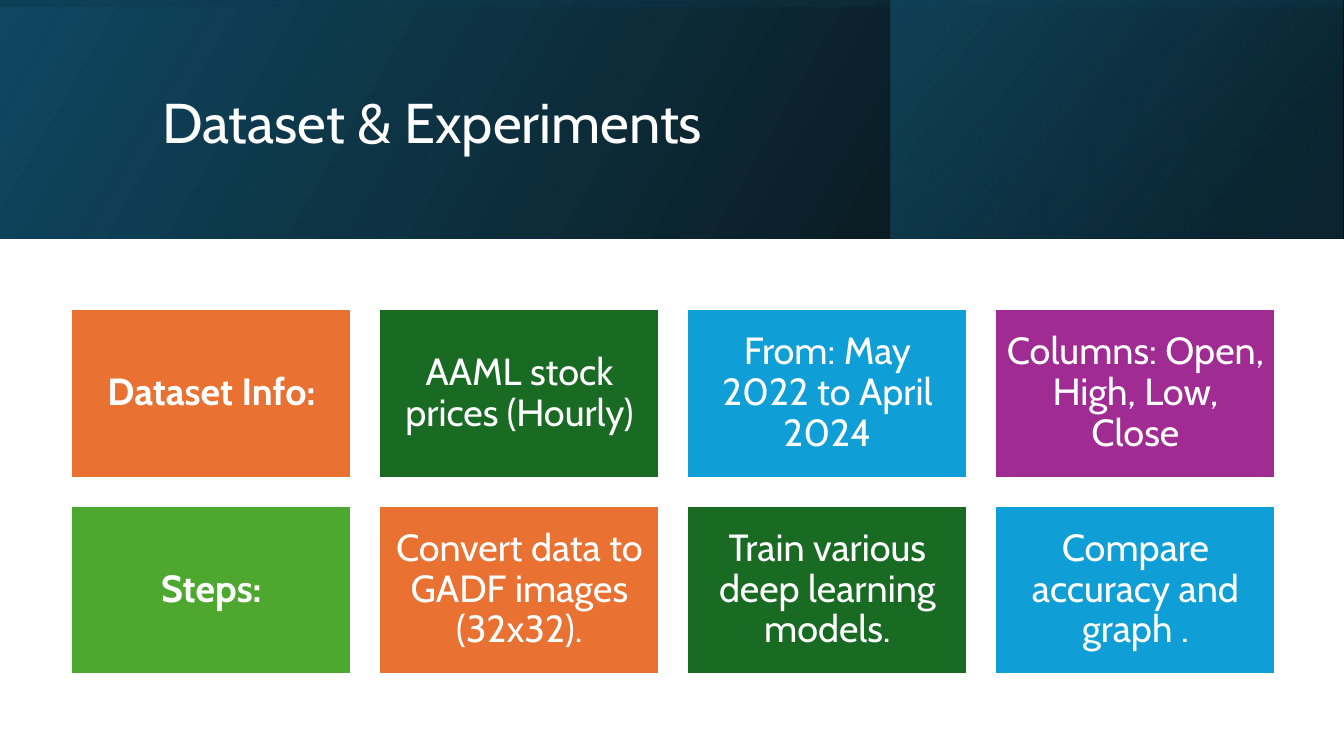
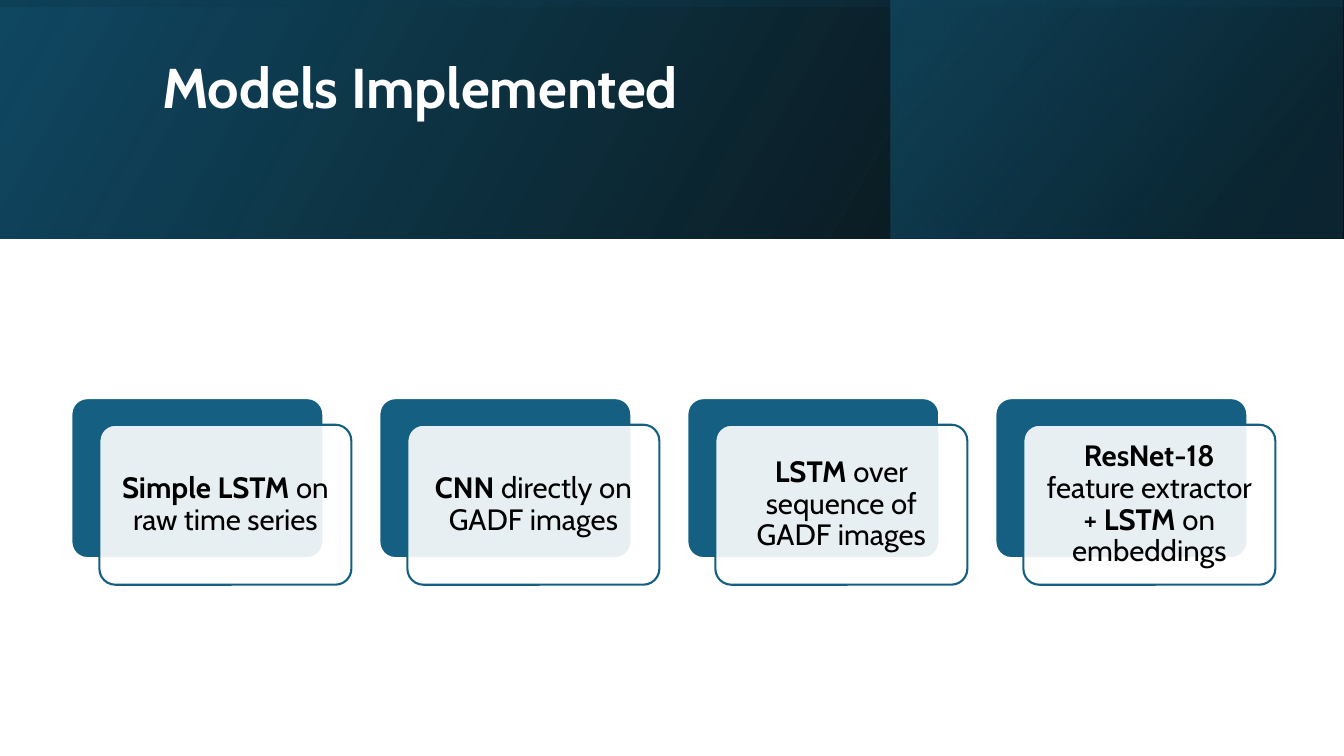
"""Build two slides on a stock dataset, its experiments and the models used."""
from dataclasses import dataclass

from lxml import etree
from pptx import Presentation
from pptx.dml.color import RGBColor
from pptx.enum.shapes import MSO_SHAPE
from pptx.enum.text import MSO_ANCHOR, PP_ALIGN
from pptx.oxml.ns import qn
from pptx.util import Pt

RECT, ROUNDED = MSO_SHAPE.RECTANGLE, MSO_SHAPE.ROUNDED_RECTANGLE
LEFT, CENTER = PP_ALIGN.LEFT, PP_ALIGN.CENTER
MIDDLE = MSO_ANCHOR.MIDDLE


@dataclass(frozen=True)
class Theme:
    font: str = "Cabin"
    white: str = "FFFFFF"
    black: str = "000000"
    teal: str = "156082"
    deep_teal: str = "104862"
    navy: str = "0B3041"
    orange: str = "E97132"
    forest: str = "196B24"
    sky: str = "0F9ED5"
    purple: str = "A02B93"
    green: str = "4EA72E"
    title_size: float = 40
    tile_size: float = 27
    card_size: float = 21
    outline: float = 1.5


THEME = Theme()
SLIDE_W, SLIDE_H = 960, 540
BAND_H = 170.7
PANEL_LEFT, PANEL_W = 636.5, 322.5
TITLE_BOX = (108.7, 27.4, 765.4, 123.8)
GRID_LEFT, GRID_GAP, COLUMN_W = 51, 20, 200
TILE_TOP, TILE_H = 221, 120.2
CARD_TOP, CARD_W, CARD_H = 284.4, 180, 114.3
CARD_SHIFT = (20, 19)

DATASET_TITLE = "Dataset & Experiments"
TILE_ROWS = [
    [("Dataset Info:", THEME.orange),
     ("AAML stock prices (Hourly)", THEME.forest),
     ("From: May 2022 to April 2024", THEME.sky),
     ("Columns: Open, High, Low, Close", THEME.purple)],
    [("Steps:", THEME.green),
     ("Convert data to GADF images (32x32).", THEME.orange),
     ("Train various deep learning models.", THEME.forest),
     ("Compare accuracy and graph .", THEME.sky)],
]

MODELS_TITLE = "Models Implemented"
MODELS = [
    [("Simple LSTM", True), (" on raw time series", False)],
    [("CNN", True), (" directly on GADF images", False)],
    [("LSTM", True), (" over sequence of GADF images", False)],
    [("ResNet-18", True), (" feature extractor + ", False),
     ("LSTM", True), (" on embeddings", False)],
]


def write(shape, runs, *, size, color, align=CENTER, inset=7.2, bottom=None):
    """Write (text, bold) runs into a shape as one paragraph."""
    frame = shape.text_frame
    frame.word_wrap = True
    frame.vertical_anchor = MIDDLE
    frame.margin_left = frame.margin_right = frame.margin_top = Pt(inset)
    frame.margin_bottom = Pt(inset if bottom is None else bottom)
    paragraph = frame.paragraphs[0]
    paragraph.alignment = align
    paragraph.line_spacing = 0.9
    for text, bold in runs:
        run = paragraph.add_run()
        run.text = text
        run.font.name = THEME.font
        run.font.size = Pt(size)
        run.font.bold = bold
        run.font.color.rgb = RGBColor.from_string(color)


def add_box(slide, kind, box, fill, line=None, opacity=100):
    """Add a flat shape with an optional outline."""
    shape = slide.shapes.add_shape(kind, *map(Pt, box))
    shape.shadow.inherit = False
    shape.fill.solid()
    shape.fill.fore_color.rgb = RGBColor.from_string(fill)
    if opacity < 100:
        color = shape.fill._xPr.find(f".//{qn('a:srgbClr')}")
        etree.SubElement(color, qn("a:alpha"), val=str(opacity * 1000))
    if line:
        shape.line.color.rgb = RGBColor.from_string(line)
        shape.line.width = Pt(THEME.outline)
    else:
        shape.line.fill.background()
    if kind == ROUNDED:
        shape.adjustments[0] = 0.1
    return shape


def add_gradient(slide, box, stops, angle, rotation=0):
    """Add a mirrored rectangle with (position, colour, opacity) stops."""
    shape = add_box(slide, RECT, box, THEME.navy)
    shape.rotation = rotation
    properties = shape._element.spPr
    properties.find(qn("a:xfrm")).set("flipH", "1")
    solid = properties.find(qn("a:solidFill"))
    gradient = etree.Element(qn("a:gradFill"))
    stop_list = etree.SubElement(gradient, qn("a:gsLst"))
    for position, color, opacity in stops:
        stop = etree.SubElement(stop_list, qn("a:gs"), pos=str(position * 1000))
        tint = etree.SubElement(stop, qn("a:srgbClr"), val=color)
        if opacity < 100:
            etree.SubElement(tint, qn("a:alpha"), val=str(opacity * 1000))
    etree.SubElement(gradient, qn("a:lin"), ang=str(angle * 60000), scaled="0")
    properties.replace(solid, gradient)


def add_slide(deck, title, *, bold=False, lift=0):
    """Add a slide with the shared band and title, raised by lift points."""
    slide = deck.slides.add_slide(deck.slide_layouts[6])
    add_gradient(slide, (0, 0, SLIDE_W, BAND_H),
                 [(0, THEME.black, 96), (100, THEME.deep_teal, 100)], 330)
    add_gradient(slide, (PANEL_LEFT, 0, PANEL_W, BAND_H),
                 [(19, THEME.navy, 68), (100, THEME.teal, 48)], 320)
    offset = (SLIDE_W - BAND_H) / 2
    add_gradient(slide, (offset, -offset, BAND_H, SLIDE_W),
                 [(23, THEME.deep_teal, 16), (99, THEME.black, 45)], 350, 270)
    heading = slide.shapes.add_textbox(*map(Pt, TITLE_BOX))
    write(heading, [(title, bold)], size=THEME.title_size, color=THEME.white,
          align=LEFT, bottom=7.2 + 2 * lift)
    return slide


def column_left(column):
    return GRID_LEFT + column * (COLUMN_W + GRID_GAP)


def build_dataset(deck):
    slide = add_slide(deck, DATASET_TITLE)
    for row, tiles in enumerate(TILE_ROWS):
        top = TILE_TOP + row * (TILE_H + GRID_GAP)
        for column, (text, color) in enumerate(tiles):
            tile = add_box(slide, RECT, (column_left(column), top, COLUMN_W, TILE_H),
                           color, THEME.white)
            write(tile, [(text, column == 0)], size=THEME.tile_size,
                  color=THEME.white, inset=8)


def build_models(deck):
    slide = add_slide(deck, MODELS_TITLE, bold=True, lift=25)
    shift_x, shift_y = CARD_SHIFT
    for column, runs in enumerate(MODELS):
        left = column_left(column)
        add_box(slide, ROUNDED, (left, CARD_TOP, CARD_W, CARD_H),
                THEME.teal, THEME.white)
        card = add_box(slide, ROUNDED,
                       (left + shift_x, CARD_TOP + shift_y, CARD_W, CARD_H),
                       THEME.white, THEME.teal, opacity=90)
        write(card, runs, size=THEME.card_size, color=THEME.black, inset=6.3)


def main():
    deck = Presentation()
    deck.slide_width, deck.slide_height = Pt(SLIDE_W), Pt(SLIDE_H)
    build_dataset(deck)
    build_models(deck)
    deck.save("out.pptx")


if __name__ == "__main__":
    main()
